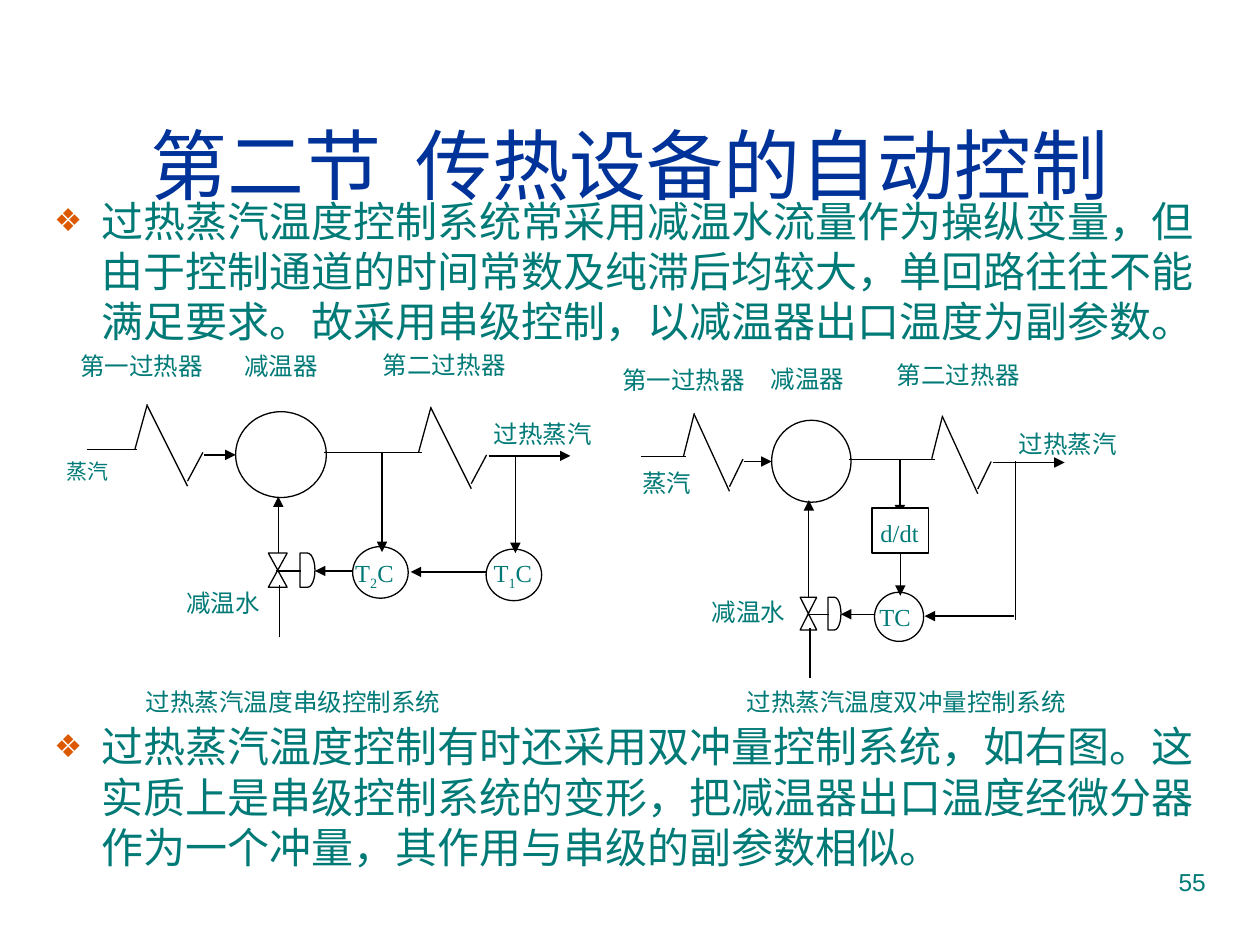
"""Build the slide on cascade and two-impulse control of steam temperature."""
from dataclasses import dataclass

from lxml import etree
from pptx import Presentation
from pptx import util as u
from pptx.dml.color import RGBColor
from pptx.enum import shapes, text
from pptx.oxml import ns


@dataclass(frozen=True)
class Theme:
    """Colours, fonts and type sizes."""
    head: str = "003399"
    ink: str = "007A77"
    mark: str = "DC5900"
    line: str = "000000"
    fill: str = "FFFFFF"
    sans: str = "Arial"
    serif: str = "Times New Roman"
    title: int = 44
    body: int = 24
    label: int = 14
    small: int = 12
    rule: float = 0.75


@dataclass(frozen=True)
class Frame:
    """Origin and scale of one part of a diagram."""
    left: float
    top: float
    wide: float = 1
    high: float = 1

    def spot(self, x, y):
        """Place a local point on the slide."""
        return self.left + x * self.wide, self.top + y * self.high

    def box(self, x, y, w, h):
        """Place a local box on the slide."""
        return (*self.spot(x, y), w * self.wide, h * self.high)


THEME = Theme()
KIND = shapes.MSO_SHAPE
PLAIN = Frame(0, 0)

COIL = [(0.97, 0.91, 1.22, 0), (1.22, 0.03, 2.03, 1.65), (2.03, 1.55, 2.34, 0.97)]

LEFT = [
    ("第一过热器", 1.37, 6.96, 3.86, 1.4),
    ("减温器", 4.67, 6.96, 2.69, 1.4),
    ("第二过热器", 7.47, 6.93, 3.86, 1.6),
    ("过热蒸汽", 9.7, 8.33, 2.87, 1.07),
    ("减温水", 3.51, 11.73, 2.21, 1.09),
    ("过热蒸汽温度串级控制系统", 2.69, 13.72, 7.29, 1.02),
]
RIGHT = [
    ("第一过热器", 12.29, 7.24, 3.35, 1.35),
    ("减温器", 15.29, 7.21, 2.34, 1.35),
    ("第二过热器", 17.83, 7.14, 3.35, 1.55),
    ("过热蒸汽", 20.29, 8.53, 3.38, 1.35),
    ("蒸汽", 12.7, 9.32, 1.98, 0.91),
    ("d/dt", 17.5, 10.31, 1.63, 1.12),
    ("TC", 17.48, 12.01, 1.65, 1.35),
    ("减温水", 14.1, 11.91, 2.03, 0.97),
    ("过热蒸汽温度双冲量控制系统", 14.8, 13.72, 7.24, 0.94),
]
POINTS = [
    (3.81, "过热蒸汽温度控制系统常采用减温水流量作为操纵变量，但由于控制通道的时间常数及纯滞后均较大，"
           "单回路往往不能满足要求。故采用串级控制，以减温器出口温度为副参数。"),
    (14.41, "过热蒸汽温度控制有时还采用双冲量控制系统，如右图。这实质上是串级控制系统的变形，"
            "把减温器出口温度经微分器作为一个冲量，其作用与串级的副参数相似。"),
]


def tint(code):
    """Turn a hex code into a colour."""
    return RGBColor.from_string(code)


def style(para, size, face, hue):
    """Format every run of a paragraph."""
    for run in para.runs:
        run.font.size = u.Pt(size)
        run.font.name = face
        run.font.color.rgb = tint(hue)


def write(slide, words, x, y, w, h, size=THEME.label, face=THEME.serif):
    """Add a wrapped text box and return its paragraph."""
    frame = slide.shapes.add_textbox(*map(u.Cm, (x, y, w, h))).text_frame
    frame.word_wrap = True
    para = frame.paragraphs[0]
    para.text = words
    style(para, size, face, THEME.ink)
    return para


def loop(slide, digit, x, y, w, h):
    """Label a controller as T, lowered digit, C."""
    para = write(slide, "T", x, y, w, h)
    for part in (digit, "C"):
        para.add_run().text = part
    para.runs[1]._r.get_or_add_rPr().set("baseline", "-25000")
    style(para, THEME.label, THEME.serif, THEME.ink)


def point(slide, top, words):
    """Add a bulleted body paragraph."""
    para = write(slide, words, 0.84, top, 23.72, 3.6, THEME.body, THEME.sans)
    props = para._p.get_or_add_pPr()
    props.set("marL", str(u.Cm(0.95)))
    props.set("indent", str(-u.Cm(0.95)))
    hue = etree.SubElement(props, ns.qn("a:buClr"))
    etree.SubElement(hue, ns.qn("a:srgbClr"), val=THEME.mark)
    etree.SubElement(props, ns.qn("a:buSzPct"), val="75000")
    etree.SubElement(props, ns.qn("a:buFont"), typeface=THEME.sans)
    etree.SubElement(props, ns.qn("a:buChar"), char="❖")


def part(slide, kind, box):
    """Add an outlined piece of equipment."""
    item = slide.shapes.add_shape(kind, *map(u.Cm, box))
    item.shadow.inherit = False
    item.fill.solid()
    item.fill.fore_color.rgb = tint(THEME.fill)
    item.line.color.rgb = tint(THEME.line)
    item.line.width = u.Pt(THEME.rule)
    return item


def pipe(slide, ends, arrow=False, frame=PLAIN):
    """Add a straight line, with an arrowhead if asked."""
    spots = (*frame.spot(*ends[:2]), *frame.spot(*ends[2:]))
    link = slide.shapes.add_connector(shapes.MSO_CONNECTOR.STRAIGHT, *map(u.Cm, spots))
    link.line.color.rgb = tint(THEME.line)
    link.line.width = u.Pt(THEME.rule)
    if arrow:
        etree.SubElement(link.line._get_or_add_ln(), ns.qn("a:tailEnd"), type="triangle")
    etree.SubElement(link._element.spPr, ns.qn("a:effectLst"))
    return link


def steam(slide, frame):
    """Draw the steam path through both heaters and the cooler."""
    part(slide, KIND.OVAL, frame.box(3, 0.15, 1.83, 1.73))
    pipe(slide, (0, 0.91, 1.02, 0.91), frame=frame)
    for dx, dy in ((0, 0), (5.72, 0.05)):
        for x, y, right, end in COIL:
            pipe(slide, (x + dx, y + dy, right + dx, end + dy), frame=frame)
    pipe(slide, (2.36, 1.02, 3, 1.02), True, frame)
    pipe(slide, (4.78, 0.97, 6.76, 0.97), frame=frame)
    pipe(slide, (8.1, 1.04, 9.75, 1.04), True, frame)


def valve(slide, frame, rise):
    """Draw the water valve with its drive, feed and signal."""
    part(slide, KIND.FLOWCHART_COLLATE, frame.box(0, 0, 0.38, 0.69))
    part(slide, KIND.FLOWCHART_DELAY, frame.box(0.64, 0, 0.3, 0.69))
    pipe(slide, (0.15, 0.36, 0.66, 0.36), frame=frame)
    pipe(slide, (0.23, 1.7, 0.23, 0.64), frame=frame)
    pipe(slide, (0.2, 0, 0.2, -rise), True, frame)
    pipe(slide, (1.7, 0.36, 0.94, 0.36), True, frame)


def cascade(slide):
    """Draw the cascade system on the left."""
    steam(slide, Frame(1.75, 8.15))
    valve(slide, Frame(5.41, 11.15), 1.14)
    for x, y in ((7.11, 11.02), (9.8, 11.07)):
        part(slide, KIND.OVAL, (x, y, 1.12, 1.04))
    for ends in ((7.7, 9.14, 7.7, 11.13), (9.8, 11.53, 8.28, 11.53), (10.39, 9.19, 10.39, 11.15)):
        pipe(slide, ends, True)
    for label in LEFT:
        write(slide, *label)
    write(slide, "蒸汽", 1.09, 9.12, 1.6, 0.79, THEME.small)
    loop(slide, "2", 6.91, 11.13, 1.52, 1.09)
    loop(slide, "1", 9.7, 11.13, 1.78, 1.19)


def double(slide):
    """Draw the two-impulse system on the right."""
    scale = (0.875, 0.955)
    steam(slide, Frame(12.93, 8.33, *scale))
    valve(slide, Frame(16.13, 12.04, *scale), 2.05)
    part(slide, KIND.OVAL, (17.63, 11.94, 0.99, 0.99))
    pipe(slide, (18.14, 9.27, 18.14, 10.39), True)
    pipe(slide, (20.45, 12.42, 18.64, 12.42), True)
    pipe(slide, (20.47, 9.3, 20.47, 12.5))
    block = part(slide, KIND.RECTANGLE, (17.58, 10.24, 1.14, 0.91))
    pipe(slide, (18.15, 11.15, 18.15, 12.01), True).begin_connect(block, 2)
    for label in RIGHT:
        write(slide, *label)


def head(slide, words):
    """Place and format the title."""
    title = slide.shapes.title
    title.left, title.top, title.width, title.height = map(u.Cm, (0.84, 1.7, 23.72, 3.18))
    frame = title.text_frame
    frame.text = words
    frame.auto_size = text.MSO_AUTO_SIZE.NONE
    frame.vertical_anchor = text.MSO_ANCHOR.MIDDLE
    frame.paragraphs[0].alignment = text.PP_ALIGN.CENTER
    style(frame.paragraphs[0], THEME.title, THEME.sans, THEME.head)


def main():
    """Build and save the deck."""
    deck = Presentation()
    deck.slide_width, deck.slide_height = u.Cm(25.4), u.Cm(19.05)
    slide = deck.slides.add_slide(deck.slide_layouts[5])
    head(slide, "第二节  传热设备的自动控制")
    for top, words in POINTS:
        point(slide, top, words)
    double(slide)
    cascade(slide)
    page = write(slide, "55", 18.21, 17.35, 6.35, 1.32, face=THEME.sans)
    page.alignment = text.PP_ALIGN.RIGHT
    deck.save("out.pptx")


if __name__ == "__main__":
    main()
